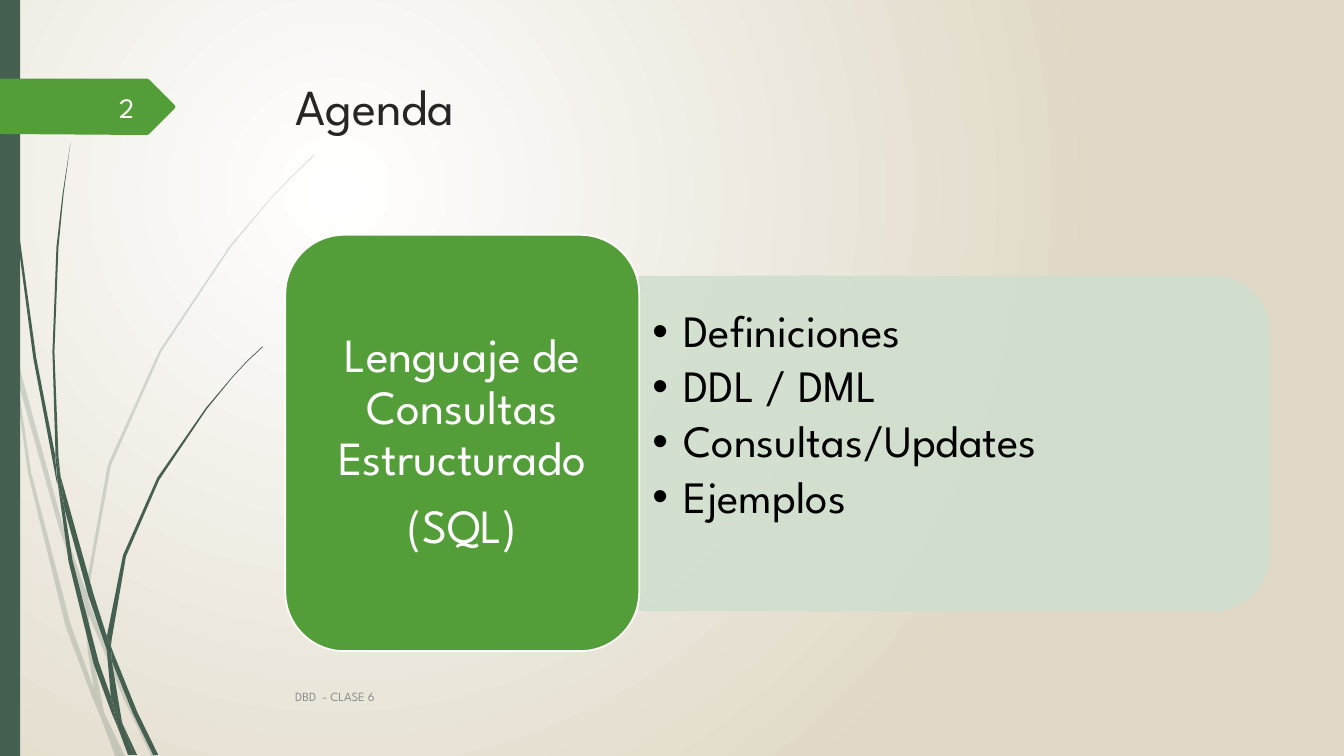
from dataclasses import dataclass

from lxml import etree
from pptx import Presentation
from pptx import util as u
from pptx.dml.color import RGBColor
from pptx.enum import shapes, text
from pptx.oxml.ns import qn

FONT = "League Spartan"
COLOURS = {
    "white": "FFFFFF", "sand": "E0D9C8", "pine": "455F51", "green": "549E39",
    "mint": "D1DFCE", "title": "262626", "black": "000000", "footer": "8C8C8C",
    "number": "FEFFFF",
}
SHAPE = shapes.MSO_SHAPE
ALIGN = text.PP_ALIGN
ANCHOR = text.MSO_ANCHOR


@dataclass
class Box:
    left: float
    top: float
    width: float
    height: float

    def lengths(self) -> list:
        return [u.Inches(v) for v in (self.left, self.top, self.width, self.height)]


@dataclass
class Words:
    lines: list
    size: float
    colour: str
    align: ALIGN = ALIGN.LEFT
    anchor: ANCHOR = ANCHOR.MIDDLE
    margins: tuple = (0.1, 0.05, 0.1, 0.05)  # left, top, right, bottom
    line_spacing: float = 1.0
    space_after: float = 0
    bullet_indent: float = 0


@dataclass
class Outline:
    """A closed outline through (x, y) points in inches."""
    points: list
    fill: str = "pine"
    opacity: int = 100


@dataclass
class Block:
    kind: SHAPE
    box: Box
    fill: str
    line: str = ""
    rotation: float = 0
    opacity: int = 100


# Each blade of grass is made of short pieces that meet end to end
PALE_GRASS = [
    [(0.11, 3.5), (0.09, 3.22), (0, 2.82), (0, 2.99), (0.1, 3.44)],
    [(0.58, 5.22), (0.84, 5.99), (0.85, 5.86), (0.62, 5.2), (0.14, 3.45), (0.17, 3.76)],
    [(0.92, 6.07), (0.88, 5.96), (0.88, 6.1), (1.23, 6.94), (1.5, 7.5), (1.55, 7.5),
     (1.27, 6.92)],
    [(1.19, 7.5), (1.24, 7.5), (1.05, 7.11)],
    [(0.93, 6.83), (0.7, 6.19), (0.31, 4.69), (0.17, 3.76), (0.11, 3.5), (0.28, 4.7),
     (0.65, 6.21), (0.92, 6.93), (1.01, 7.14), (0.99, 7.07)],
    [(0.84, 5.99), (0.87, 6.46), (0.93, 6.83), (0.96, 6.92), (1.05, 7.11), (1.03, 7.06),
     (0.91, 6.46), (0.88, 6.1), (0.88, 6.08)],
    [(0.88, 5.84), (1.1, 4.62), (1.6, 3.49), (2.29, 2.45), (2.68, 1.98), (2.9, 1.75),
     (3.12, 1.54), (3.12, 1.53), (2.89, 1.75), (2.68, 1.97), (2.28, 2.44), (1.58, 3.48),
     (1.07, 4.61), (0.85, 5.84), (0.85, 5.86), (0.88, 5.96)],
    [(1.01, 7.14), (1.14, 7.5), (1.19, 7.5)],
    [(0.88, 6.08), (0.88, 6.1), (0.88, 5.96), (0.85, 5.86), (0.84, 5.99)],
    [(0.96, 6.92), (0.93, 6.83), (0.99, 7.07), (1.01, 7.14), (1.19, 7.5), (1.05, 7.11)],
]
DARK_GRASS = [
    [(0.07, 1.1), (0.17, 2.33), (0.33, 3.55), (0.56, 4.77), (0.57, 4.81), (0.55, 4.57),
     (0.55, 4.53), (0.36, 3.55), (0.19, 2.32), (0.08, 1.09), (0.05, 0.48), (0.04, 0),
     (0.03, 0), (0.04, 0.48)],
    [(0.88, 5.92), (1.06, 6.45), (1.06, 6.33), (1.06, 6.31), (0.93, 5.9), (0.6, 4.72),
     (0.64, 5.05)],
    [(1.13, 6.49), (1.1, 6.41), (1.11, 6.56), (1.32, 7.08), (1.52, 7.49), (1.57, 7.49),
     (1.36, 7.06)],
    [(1.1, 6.91), (0.98, 6.57), (0.72, 5.56), (0.64, 5.05), (0.57, 4.77), (0.68, 5.57),
     (0.93, 6.59), (1.11, 7.08), (1.17, 7.22), (1.16, 7.17)],
    [(0.6, 4.72), (0.58, 4.53), (0.54, 3.49), (0.58, 2.45), (0.63, 1.93), (0.7, 1.41),
     (0.62, 1.93), (0.56, 2.45), (0.52, 3.49), (0.55, 4.49)],
    [(1.33, 7.49), (1.36, 7.49), (1.22, 7.19)],
    [(0.57, 4.77), (0.64, 5.05), (0.6, 4.72), (0.55, 4.49), (0.55, 4.53)],
    [(1.11, 6.33), (1.25, 5.52), (1.58, 4.76), (2.05, 4.06), (2.31, 3.74), (2.45, 3.59),
     (2.61, 3.44), (2.6, 3.44), (2.45, 3.58), (2.31, 3.73), (2.04, 4.05), (1.56, 4.74),
     (1.22, 5.51), (1.06, 6.31), (1.1, 6.41)],
    [(1.17, 7.22), (1.27, 7.49), (1.31, 7.49)],
    [(1.06, 6.45), (1.1, 6.91), (1.16, 7.06), (1.22, 7.19), (1.21, 7.16), (1.11, 6.56),
     (1.09, 6.51)],
    [(1.06, 6.45), (1.09, 6.51), (1.11, 6.56), (1.1, 6.41), (1.06, 6.31), (1.06, 6.33)],
    [(1.16, 7.06), (1.1, 6.91), (1.16, 7.17), (1.17, 7.22), (1.3, 7.49), (1.33, 7.49),
     (1.22, 7.19)],
]
GRASS = [Outline(p, opacity=20) for p in PALE_GRASS] + [Outline(p) for p in DARK_GRASS]
NUMBER_TAG = Outline([(0, 0.78), (1.46, 0.78), (1.48, 0.79), (1.73, 1.04), (1.74, 1.06),
                      (1.73, 1.08), (1.48, 1.33), (1.46, 1.34), (0, 1.33)], "green")
SIDE_BAR = Block(SHAPE.RECTANGLE, Box(0, 0, 0.2, 7.5), "pine")
TOPIC_PANEL = Block(SHAPE.ROUND_2_SAME_RECTANGLE, Box(7.81, 1.28, 3.31, 6.24),
                    "mint", "mint", 90, 90)
SUBJECT_CARD = Block(SHAPE.ROUNDED_RECTANGLE, Box(2.83, 2.33, 3.51, 4.13), "green", "white")


def paint(shape, fill: str, line: str = "", opacity: int = 100) -> None:
    shape.shadow.inherit = False
    shape.fill.solid()
    shape.fill.fore_color.rgb = RGBColor.from_string(COLOURS[fill])
    if line:
        shape.line.color.rgb = RGBColor.from_string(COLOURS[line])
        shape.line.width = u.Pt(1.25)
    else:
        shape.line.fill.background()
    if opacity < 100:
        for colour in shape._element.spPr.iter(qn("a:srgbClr")):
            etree.SubElement(colour, qn("a:alpha"), val=str(opacity * 1000))


def draw_block(slide, block: Block):
    shape = slide.shapes.add_shape(block.kind, *block.box.lengths())
    shape.rotation = block.rotation
    paint(shape, block.fill, block.line, block.opacity)
    return shape


def draw_outline(slide, outline: Outline) -> None:
    start, *others = [(u.Inches(x), u.Inches(y)) for x, y in outline.points]
    builder = slide.shapes.build_freeform(*start)
    builder.add_line_segments(others, close=True)
    paint(builder.convert_to_shape(), outline.fill, opacity=outline.opacity)


def add_bullet(paragraph, indent: float) -> None:
    properties = paragraph._p.get_or_add_pPr()
    properties.set("marL", str(u.Inches(indent)))
    properties.set("indent", str(-u.Inches(indent)))
    etree.SubElement(properties, qn("a:buFont"), typeface="Arial")
    etree.SubElement(properties, qn("a:buChar"), char="•")


def write(shape, words: Words) -> None:
    frame = shape.text_frame
    left, top, right, bottom = (u.Inches(margin) for margin in words.margins)
    frame_format = {"word_wrap": True, "auto_size": text.MSO_AUTO_SIZE.NONE,
                    "vertical_anchor": words.anchor, "margin_left": left,
                    "margin_top": top, "margin_right": right, "margin_bottom": bottom}
    for name, value in frame_format.items():
        setattr(frame, name, value)
    frame.text = "\n".join(words.lines)
    paragraph_format = {"alignment": words.align, "line_spacing": words.line_spacing,
                        "space_before": u.Pt(0), "space_after": u.Pt(words.space_after)}
    for paragraph in frame.paragraphs:
        for name, value in paragraph_format.items():
            setattr(paragraph, name, value)
        if words.bullet_indent:
            add_bullet(paragraph, words.bullet_indent)
        font = paragraph.runs[0].font
        font.name, font.size = FONT, u.Pt(words.size)
        font.color.rgb = RGBColor.from_string(COLOURS[words.colour])


def draw_background(slide) -> None:
    fill = slide.background.fill
    fill.gradient()
    for stop, colour, position in zip(fill.gradient_stops, ("white", "sand"), (0, 1)):
        stop.color.rgb = RGBColor.from_string(COLOURS[colour])
        stop.position = position
    gradient = slide._element.find(".//" + qn("a:gradFill"))
    circle = etree.Element(qn("a:path"), path="circle")
    etree.SubElement(circle, qn("a:fillToRect"), l="50000", t="50000", r="100000", b="100000")
    gradient.replace(gradient.find(qn("a:lin")), circle)


def main() -> None:
    presentation = Presentation()
    presentation.slide_width, presentation.slide_height = u.Inches(13.33), u.Inches(7.5)
    slide = presentation.slides.add_slide(presentation.slide_layouts[5])
    # Backdrop: gradient, grass, side bar and number tag
    draw_background(slide)
    for piece in GRASS:
        draw_outline(slide, piece)
    draw_block(slide, SIDE_BAR)
    draw_outline(slide, NUMBER_TAG)
    # Title
    title = slide.shapes.title
    title.left, title.top, title.width, title.height = Box(2.83, 0.69, 9.75, 1.4).lengths()
    write(title, Words(["Agenda"], 36, "title", anchor=ANCHOR.TOP))
    # Subject card and its topics
    draw_block(slide, TOPIC_PANEL)
    topics = slide.shapes.add_textbox(*Box(6.34, 2.91, 6.08, 2.98).lengths())
    write(topics, Words(["Definiciones", "DDL / DML", "Consultas/Updates", "Ejemplos"],
                        32, "black", margins=(0.13, 0.07, 0.13, 0.62),
                        line_spacing=0.9, space_after=4.8, bullet_indent=0.31))
    write(draw_block(slide, SUBJECT_CARD),
          Words(["Lenguaje de Consultas Estructurado", "(SQL)"], 34, "white", ALIGN.CENTER,
                margins=(0.14, 0.07, 0.14, 0.07), line_spacing=0.9, space_after=11.9))
    # Footer and slide number
    footer = slide.shapes.add_textbox(*Box(2.83, 6.71, 8.33, 0.4).lengths())
    write(footer, Words(["DBD  - CLASE 6"], 9, "footer"))
    number = slide.shapes.add_textbox(*Box(0.58, 0.86, 0.85, 0.4).lengths())
    write(number, Words(["2"], 20, "number", ALIGN.RIGHT))
    presentation.save("out.pptx")


if __name__ == "__main__":
    main()
